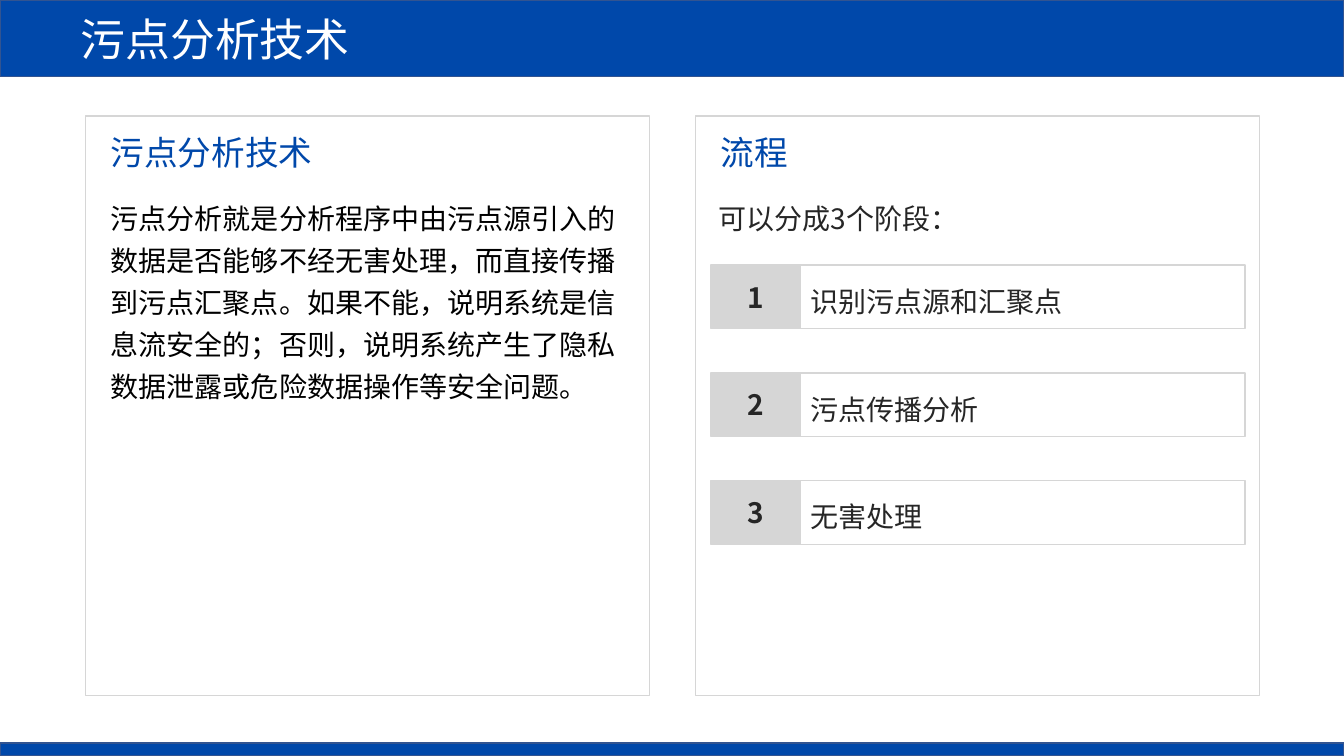
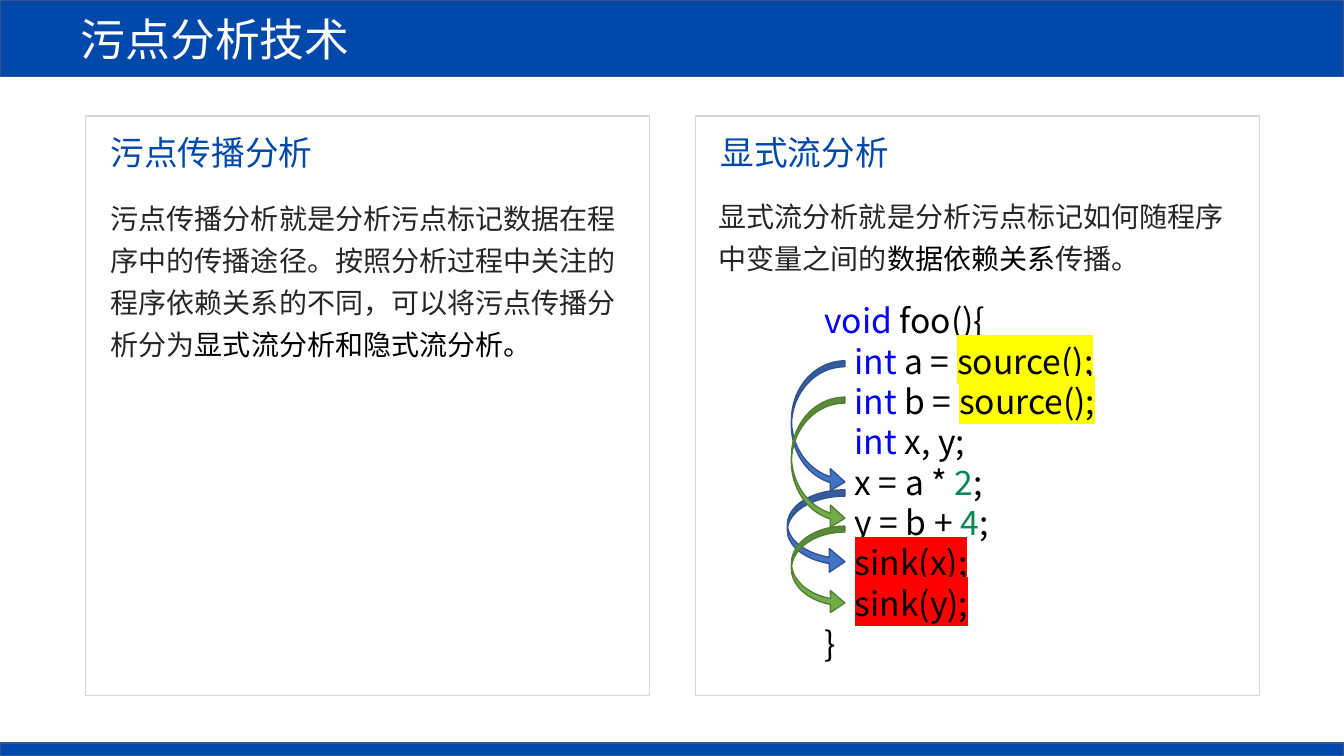
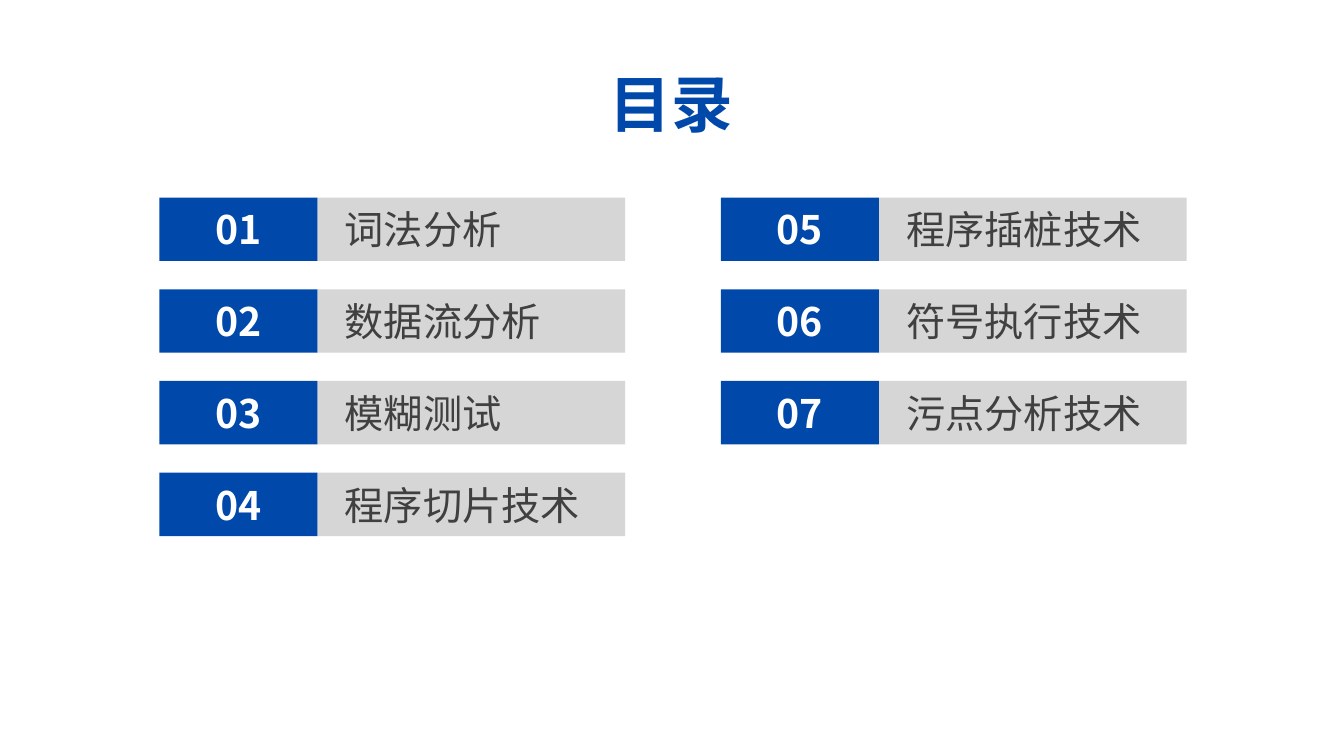
from dataclasses import dataclass
from typing import NamedTuple, Optional

from lxml.etree import SubElement
from pptx import Presentation
from pptx.dml.color import RGBColor
from pptx.enum.shapes import MSO_SHAPE as Preset
from pptx.enum.text import MSO_ANCHOR as Anchor, MSO_AUTO_SIZE as AutoSize, PP_ALIGN as Align
from pptx.oxml.ns import qn
from pptx.util import Inches, Pt

# Shared style
FONT = "Noto Sans CJK SC"
BLUE = RGBColor(0x00, 0x48, 0xAA)
NAVY = RGBColor(0x32, 0x54, 0x91)
WHITE = RGBColor(0xFF, 0xFF, 0xFF)
BLACK = RGBColor(0x00, 0x00, 0x00)
INK = RGBColor(0x26, 0x26, 0x26)
GREY_TEXT = RGBColor(0x40, 0x40, 0x40)
GREY = RGBColor(0xD6, 0xD6, 0xD6)
ARROW_BLUE = RGBColor(0x44, 0x72, 0xC4)
ARROW_GREEN = RGBColor(0x70, 0xAD, 0x47)
GREEN_EDGE = RGBColor(0x53, 0x80, 0x35)
KEYWORD = RGBColor(0x00, 0x00, 0xFF)
NUMBER = RGBColor(0x09, 0x86, 0x58)
YELLOW = RGBColor(0xFF, 0xFF, 0x00)
RED = RGBColor(0xFF, 0x00, 0x00)

WIDTH, HEIGHT = 13.33, 7.5
TITLE_ONLY = 5


class Box(NamedTuple):
    left: float
    top: float
    width: float
    height: float

    def lengths(self) -> list:
        return [Inches(value) for value in self]


class Span(NamedTuple):
    text: str
    color: Optional[RGBColor] = None
    highlight: Optional[RGBColor] = None


@dataclass
class TextStyle:
    size: float
    color: RGBColor
    bold: bool = False
    align: Align = Align.LEFT
    spacing: Optional[float] = None


@dataclass
class Panel:
    left: float
    heading: str
    heading_width: float
    body: list[Span]
    body_box: Box
    body_color: RGBColor = INK


@dataclass
class FlowArrow:
    box: Box
    fill: RGBColor
    edge: RGBColor


BAND_TITLE = TextStyle(32, WHITE)
CONTENTS_TITLE = TextStyle(44, BLUE, bold=True)
HEADING = TextStyle(24, BLUE)
CODE = TextStyle(24, BLACK)
STEP_NUMBER = TextStyle(20, INK, bold=True, align=Align.CENTER)
STEP_LABEL = TextStyle(20, INK, spacing=1.25)
ITEM_NUMBER = TextStyle(28, WHITE, bold=True, align=Align.CENTER)
ITEM_LABEL = TextStyle(28, GREY_TEXT)


def write(frame, lines: list[list[Span]], style: TextStyle) -> None:
    """Fill a text frame, one list of spans a paragraph."""
    for index, spans in enumerate(lines):
        para = frame.add_paragraph() if index else frame.paragraphs[0]
        para.alignment = style.align
        if style.spacing:
            para.line_spacing = style.spacing
        font = para.font
        font.size, font.bold, font.name = Pt(style.size), style.bold, FONT
        font.color.rgb = style.color
        SubElement(para._p.pPr.find(qn("a:defRPr")), qn("a:ea"), typeface=FONT)
        for span in spans:
            run = para.add_run()
            run.text = span.text
            if span.color is not None:
                run.font.color.rgb = span.color
            if span.highlight is not None:
                mark = SubElement(run._r.get_or_add_rPr(), qn("a:highlight"))
                SubElement(mark, qn("a:srgbClr"), val=str(span.highlight))


def paint(shape, fill: Optional[RGBColor], edge: Optional[RGBColor]) -> None:
    if fill is None:
        shape.fill.background()
    else:
        shape.fill.solid()
        shape.fill.fore_color.rgb = fill
    if edge is None:
        shape.line.fill.background()
    else:
        shape.line.color.rgb = edge
        shape.line.width = Pt(1)


def add_block(page, box: Box, fill: Optional[RGBColor], edge: Optional[RGBColor] = None,
              preset: Preset = Preset.RECTANGLE):
    shape = page.shapes.add_shape(preset, *box.lengths())
    shape.shadow.inherit = False
    paint(shape, fill, edge)
    return shape


def add_label(page, box: Box, text: str, style: TextStyle, fill: Optional[RGBColor],
              edge: Optional[RGBColor] = None, inset: float = 0.1) -> None:
    frame = add_block(page, box, fill, edge).text_frame
    frame.margin_left = Inches(inset)
    frame.vertical_anchor = Anchor.MIDDLE
    write(frame, [[Span(text)]], style)


def add_text(page, box: Box, lines: list[list[Span]], style: TextStyle, wrap: bool = True) -> None:
    frame = page.shapes.add_textbox(*box.lengths()).text_frame
    frame.word_wrap = wrap
    frame.auto_size = AutoSize.SHAPE_TO_FIT_TEXT
    write(frame, lines, style)


def place_title(page, box: Box, text: str, style: TextStyle):
    title = page.shapes.title
    title.left, title.top, title.width, title.height = box.lengths()
    frame = title.text_frame
    frame.auto_size = AutoSize.NONE
    frame.vertical_anchor = Anchor.MIDDLE
    write(frame, [[Span(text)]], style)
    return title


def add_page(deck):
    return deck.slides.add_slide(deck.slide_layouts[TITLE_ONLY])


def add_band_page(deck, title_text: str, panels: list[Panel]):
    """Page with a title band, a footer band and framed panels."""
    page = add_page(deck)
    title = place_title(page, Box(0, 0, WIDTH, 0.76), title_text, BAND_TITLE)
    title.text_frame.margin_left = Inches(0.8)
    paint(title, BLUE, NAVY)
    add_block(page, Box(0, 7.37, WIDTH, 0.13), BLUE, NAVY)
    for panel in panels:
        add_block(page, Box(panel.left, 1.15, 5.59, 5.75), None, GREY)
        heading_box = Box(panel.left + 0.15, 1.26, panel.heading_width, 0.5)
        add_text(page, heading_box, [[Span(panel.heading)]], HEADING, wrap=False)
        add_text(page, panel.body_box, [panel.body],
                 TextStyle(20, panel.body_color, spacing=1.25))
    return page


def build_overview(deck) -> None:
    page = add_band_page(deck, "污点分析技术", [
        Panel(0.85, "污点分析技术", 2.22,
              [Span("污点分析就是分析程序中由污点源引入的数据是否能够不经无害处理，而直接传播到"
                    "污点汇聚点。如果不能，说明系统是信息流安全的；否则，说明系统产生了隐私数据"
                    "泄露或危险数据操作等安全问题。")],
              Box(1, 1.87, 5.28, 2.17), BLACK),
        Panel(6.9, "流程", 0.88, [Span("可以分成3个阶段：")], Box(7.03, 1.87, 5.45, 0.48)),
    ])
    # Numbered steps
    for index, step in enumerate(["识别污点源和汇聚点", "污点传播分析", "无害处理"]):
        top = 2.63 + 1.07 * index
        add_label(page, Box(7.05, top, 0.89, 0.63), str(index + 1), STEP_NUMBER, GREY, GREY)
        add_label(page, Box(7.94, top, 4.41, 0.63), step, STEP_LABEL, None, GREY)


def build_propagation(deck) -> None:
    page = add_band_page(deck, "污点分析技术", [
        Panel(0.85, "污点传播分析", 2.22,
              [Span("污点传播分析就是分析污点标记数据在程序中的传播途径。按照分析过程中关注的"
                    "程序依赖关系的不同，可以将污点传播分析分为"),
               Span("显式流分析和隐式流分析。", BLACK)],
              Box(1, 1.87, 5.28, 1.75)),
        Panel(6.9, "显式流分析", 1.88,
              [Span("显式流分析就是分析污点标记如何随程序中变量之间的"),
               Span("数据依赖关系", BLACK), Span("传播。")],
              Box(7.03, 1.85, 5.45, 0.9)),
    ])
    # Code sample
    integer = Span("    int", KEYWORD)
    source = Span("source();", highlight=YELLOW)
    add_text(page, Box(8.08, 2.93, 3.54, 3.74), [
        [Span("void", KEYWORD), Span(" foo(){")],
        [integer, Span(" a = "), source],
        [integer, Span(" b = "), source],
        [integer, Span(" x, y;")],
        [Span("    x = a * "), Span("2", NUMBER), Span(";")],
        [Span("    y = b + "), Span("4", NUMBER), Span(";")],
        [Span("    "), Span("sink(x);", highlight=RED)],
        [Span("    "), Span("sink(y);", highlight=RED)],
        [Span("}")],
    ], CODE)
    # Data flow between code lines
    for flow in [
        FlowArrow(Box(7.85, 3.58, 0.53, 1.31), ARROW_BLUE, NAVY),
        FlowArrow(Box(7.81, 4.86, 0.57, 0.83), ARROW_BLUE, NAVY),
        FlowArrow(Box(7.85, 3.94, 0.53, 1.31), ARROW_GREEN, GREEN_EDGE),
        FlowArrow(Box(7.85, 5.22, 0.53, 0.87), ARROW_GREEN, GREEN_EDGE),
    ]:
        arrow = add_block(page, flow.box, flow.fill, flow.edge, Preset.CURVED_RIGHT_ARROW)
        for index, value in enumerate([0.11, 0.41, 0.27]):
            arrow.adjustments[index] = value


def build_contents(deck) -> None:
    page = add_page(deck)
    title = place_title(page, Box(5.95, 0.6, 1.44, 0.84), "目录", CONTENTS_TITLE)
    title.text_frame.word_wrap = False
    # Items run down the left column, then the right
    items = ["词法分析", "数据流分析", "模糊测试", "程序切片技术",
             "程序插桩技术", "符号执行技术", "污点分析技术"]
    for index, item in enumerate(items):
        column, row = divmod(index, 4)
        left, top = 1.58 + 5.57 * column, 1.96 + 0.91 * row
        add_label(page, Box(left, top, 1.57, 0.63), f"{index + 1:02}", ITEM_NUMBER, BLUE)
        add_label(page, Box(left + 1.57, top, 3.05, 0.63), item, ITEM_LABEL, GREY, inset=0.27)


def main() -> None:
    deck = Presentation()
    deck.slide_width, deck.slide_height = Inches(WIDTH), Inches(HEIGHT)
    build_overview(deck)
    build_propagation(deck)
    build_contents(deck)
    deck.save("out.pptx")


if __name__ == "__main__":
    main()
